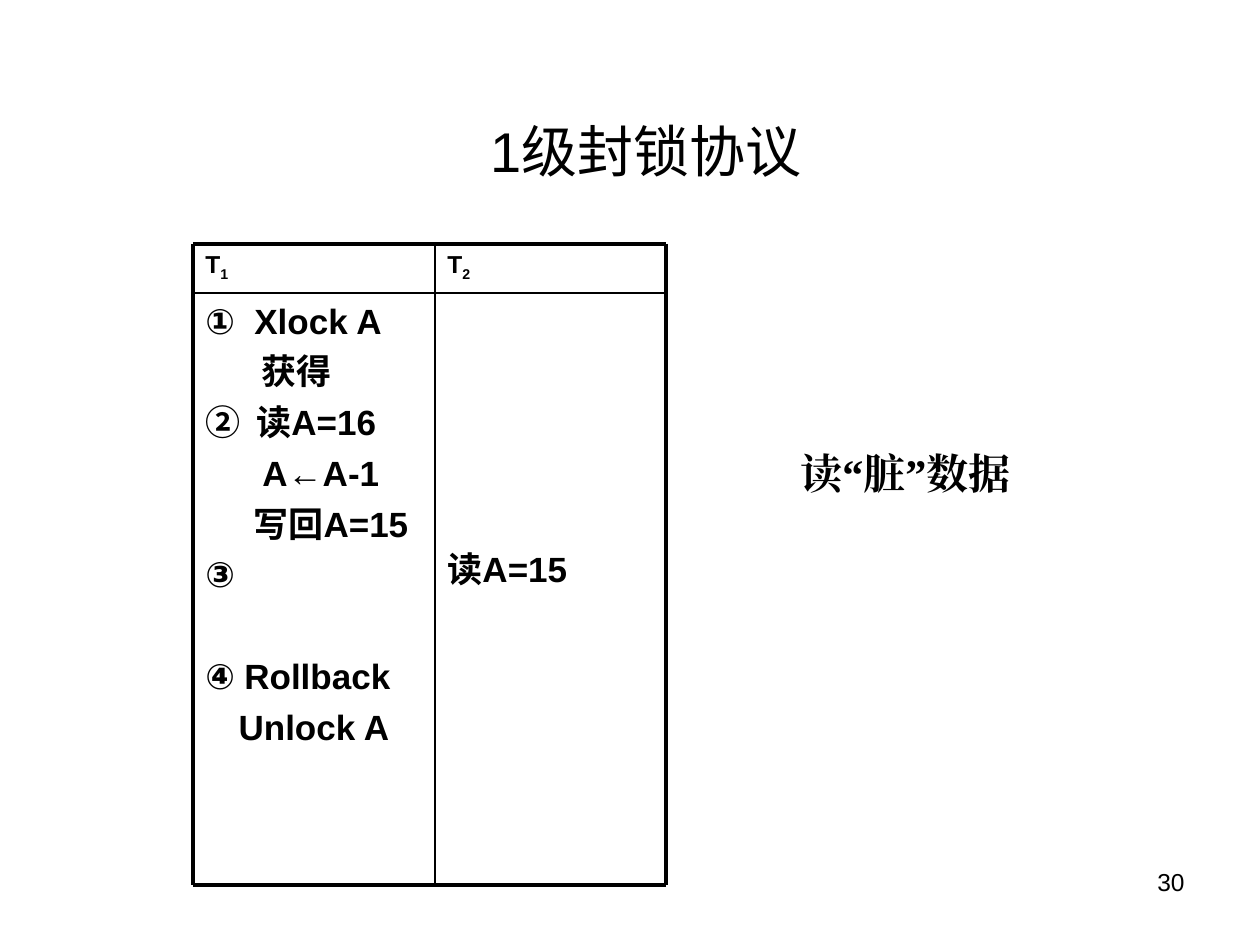
from lxml.etree import SubElement
from pptx import Presentation
from pptx.dml.color import RGBColor
from pptx.enum.shapes import MSO_CONNECTOR
from pptx.enum.text import MSO_ANCHOR, PP_ALIGN
from pptx.oxml.ns import qn
from pptx.util import Emu, Pt

SCALE = 914400 / 126
BLACK = "000000"
THICK, THIN = 2.25, 1

# Grid lines of the schedule: place in px, weight in points
COLS = [(193, THICK), (435, THIN), (666, THICK)]
ROWS = [(244, THICK), (293, THIN), (885, THICK)]

# Text, indent in px, space before in points
STEPS = [
    ("①\tXlock A", 49, 0),
    ("获得", 56, 5),
    ("②\t读A=16", 51, 5),
    ("A←A-1", 57, 5),
    ("写回A=15", 48, 5),
    ("③", 0, 5),
    ("④\tRollback", 39, 34),
    ("Unlock A", 0, 5),
]


def px(n):
    return Emu(round(n * SCALE))


def color(code):
    return RGBColor.from_string(code)


def style(para, size, bold=False, face="Arial", align=PP_ALIGN.LEFT):
    para.alignment = align
    for run in para.runs:
        font = run.font
        font.name, font.size, font.bold = face, Pt(size), bold
        font.color.rgb = color(BLACK)
        SubElement(font._element, qn("a:ea"), typeface=face)


def add_title(slide, text):
    title = slide.shapes.title
    title.left, title.top = px(109), px(86)
    title.width, title.height = px(1074), px(104)
    frame = title.text_frame
    frame.text = text
    frame.vertical_anchor = MSO_ANCHOR.BOTTOM
    style(frame.paragraphs[0], 32, align=PP_ALIGN.CENTER)


def add_text(slide, box, text, size, wrap=True, anchor=MSO_ANCHOR.TOP, **look):
    frame = slide.shapes.add_textbox(*map(px, box)).text_frame
    frame.text = text
    frame.word_wrap = wrap
    frame.vertical_anchor = anchor
    for para in frame.paragraphs:
        style(para, size, **look)
    return frame


def add_line(slide, ends, weight):
    line = slide.shapes.add_connector(MSO_CONNECTOR.STRAIGHT, *map(px, ends))
    line.line.color.rgb = color(BLACK)
    line.line.width = Pt(weight)
    SubElement(line._element.spPr, qn("a:effectLst"))


def area(row, col):
    """Left, top, width and height of one field of the grid."""
    left, top = COLS[col][0], ROWS[row][0]
    return left, top, COLS[col + 1][0] - left, ROWS[row + 1][0] - top


def indent(para, text, gap):
    """Indent a step; a numbered one hangs its number to the left."""
    props = para._p.get_or_add_pPr()
    props.set("marL", str(px(gap)))
    props.set("indent", str(-px(gap) if "\t" in text else 0))


def add_head(slide, col):
    frame = add_text(slide, area(0, col), "T", 14)
    frame.margin_top = px(8)
    para = frame.paragraphs[0]
    para.add_run().text = str(col + 1)
    para.line_spacing = 0.8
    style(para, 14, bold=True)
    para.runs[1].font._element.set("baseline", "-25000")


def add_steps(slide):
    text = "\n".join(step[0] for step in STEPS)
    frame = add_text(slide, area(1, 0), text, 20, bold=True)
    for para, (text, gap, space) in zip(frame.paragraphs, STEPS):
        indent(para, text, gap)
        para.line_spacing = Pt(24)
        para.space_before = Pt(space)
    frame.paragraphs[-1].alignment = PP_ALIGN.CENTER


def add_grid(slide):
    left, right = COLS[0][0], COLS[-1][0]
    top, foot = ROWS[0][0], ROWS[-1][0]
    for y, weight in ROWS:
        add_line(slide, (left, y, right, y), weight)
    for x, weight in COLS:
        add_line(slide, (x, top, x, foot), weight)


def main():
    deck = Presentation()
    deck.slide_width, deck.slide_height = px(1260), px(945)
    slide = deck.slides.add_slide(deck.slide_layouts[5])
    add_title(slide, "1级封锁协议")

    # Schedule of both transactions
    late = add_text(slide, area(1, 1), "读A=15", 20, bold=True)
    late.margin_top = px(255)
    late.paragraphs[0].line_spacing = Pt(24)
    add_steps(slide)
    for col in (1, 0):
        add_head(slide, col)
    add_grid(slide)

    # Remark and page number
    add_text(slide, (727, 431, 357, 84), "读“脏”数据", 24, wrap=False,
             anchor=MSO_ANCHOR.MIDDLE, bold=True, face="Times New Roman",
             align=PP_ALIGN.CENTER)
    add_text(slide, (903, 861, 294, 66), "30", 14, align=PP_ALIGN.RIGHT)

    deck.save("out.pptx")


if __name__ == "__main__":
    main()
